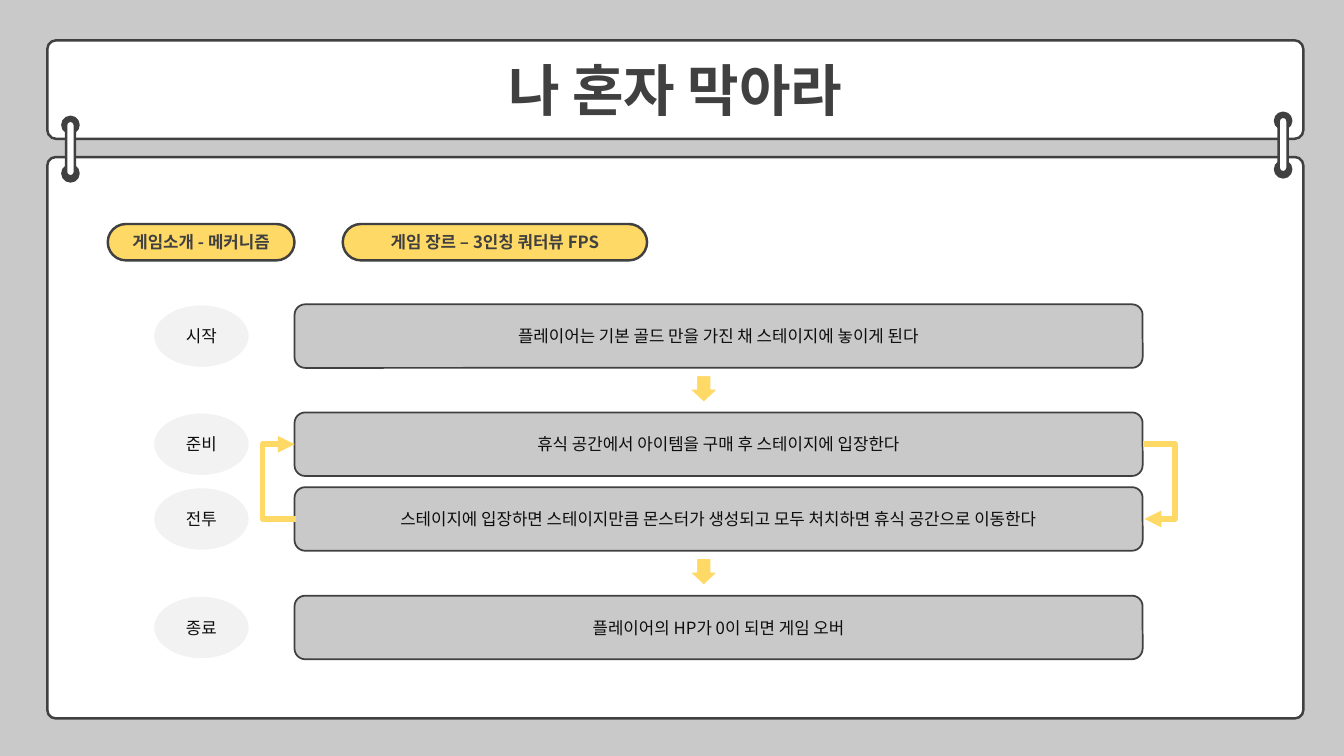
from dataclasses import dataclass

from lxml.etree import SubElement
from pptx import Presentation
from pptx.dml.color import RGBColor
from pptx.enum.shapes import MSO_CONNECTOR, MSO_SHAPE
from pptx.enum.text import MSO_ANCHOR, MSO_AUTO_SIZE, PP_ALIGN
from pptx.oxml.ns import qn
from pptx.shapes.autoshape import Shape
from pptx.slide import Slide
from pptx.util import Pt


@dataclass(frozen=True)
class Theme:
    """Colours, font and type sizes of the slide."""
    back: str = "C9C9C9"
    paper: str = "FFFFFF"
    dark: str = "404040"
    ink: str = "0D0D0D"
    gold: str = "FFD966"
    pale: str = "F2F2F2"
    font: str = "Noto Sans CJK KR"
    head: float = 40
    body: float = 12


@dataclass(frozen=True)
class Box:
    """Place and size in points."""
    left: float
    top: float
    width: float
    height: float


@dataclass(frozen=True)
class Look:
    """Form, fill and outline of a shape."""
    form: MSO_SHAPE
    fill: str
    line: str
    weight: float
    bend: float | None = None


@dataclass(frozen=True)
class Step:
    """One stage of the game loop."""
    name: str
    text: str
    top: float


THEME = Theme()
ROUND = MSO_SHAPE.ROUNDED_RECTANGLE
HEAD = Look(ROUND, THEME.paper, THEME.dark, 1.75, 0.089)
PAGE = Look(ROUND, THEME.paper, THEME.dark, 1.75, 0.015)
PEG = Look(ROUND, THEME.dark, THEME.dark, 1.75, 0.5)
ROD = Look(ROUND, THEME.paper, THEME.dark, 1.75, 0.5)
PILL = Look(ROUND, THEME.gold, THEME.dark, 1.75, 0.5)
BAR = Look(ROUND, THEME.back, THEME.dark, 1.25)
OVAL = Look(MSO_SHAPE.OVAL, THEME.pale, THEME.paper, 1.5)
ARROW = Look(MSO_SHAPE.DOWN_ARROW, THEME.gold, THEME.paper, 1)

BAR_LEFT, BAR_WIDTH, ROW = 210.4, 605.8, 45.4
STEPS = (
    Step("시작", "플레이어는 기본 골드 만을 가진 채 스테이지에 놓이게 된다", 217.4),
    Step("준비", "휴식 공간에서 아이템을 구매 후 스테이지에 입장한다", 294.6),
    Step("전투", "스테이지에 입장하면 스테이지만큼 몬스터가 생성되고 "
         "모두 처치하면 휴식 공간으로 이동한다", 348),
    Step("종료", "플레이어의 HP가 0이 되면 게임 오버", 425.5),
)


def place(shape: Shape, box: Box) -> None:
    """Move and size a shape."""
    shape.left, shape.top = Pt(box.left), Pt(box.top)
    shape.width, shape.height = Pt(box.width), Pt(box.height)


def draw(slide: Slide, look: Look, box: Box) -> Shape:
    """Add a preset shape with the given look."""
    shape = slide.shapes.add_shape(look.form, 0, 0, 0, 0)
    place(shape, box)
    shape.shadow.inherit = False
    shape.fill.solid()
    shape.fill.fore_color.rgb = RGBColor.from_string(look.fill)
    shape.line.color.rgb = RGBColor.from_string(look.line)
    shape.line.width = Pt(look.weight)
    if look.bend is not None:
        shape.adjustments[0] = look.bend
    return shape


def write(shape: Shape, text: str, size: float, tint: str, bold: bool = False) -> None:
    """Set centred text in the theme font."""
    frame = shape.text_frame
    frame.text = text
    frame.word_wrap = True
    frame.auto_size = MSO_AUTO_SIZE.NONE
    frame.vertical_anchor = MSO_ANCHOR.MIDDLE
    frame.margin_left = frame.margin_right = 0
    frame.margin_top = frame.margin_bottom = 0
    para = frame.paragraphs[0]
    para.alignment = PP_ALIGN.CENTER
    para.font.size, para.font.bold = Pt(size), bold
    para.font.color.rgb = RGBColor.from_string(tint)
    para.font.name = THEME.font
    for props in shape.element.iter(qn("a:defRPr")):
        SubElement(props, qn("a:ea"), typeface=THEME.font)


def ring(slide: Slide, left: float, top: float) -> None:
    """Draw a binder ring: two pegs and a rod."""
    for drop in (0, 34.6):
        draw(slide, PEG, Box(left, top + drop, 11.5, 11.5))
    draw(slide, ROD, Box(left + 2.6, top + 2.8, 6.3, 39.6))


def loop(slide: Slide, left: float, top: float, drop: float, reach: int,
         turn: bool = False) -> None:
    """Draw a bent arrow that reaches out sideways, turned half round if asked."""
    link = slide.shapes.add_connector(
        MSO_CONNECTOR.ELBOW, Pt(left), Pt(top), Pt(left + 1), Pt(top + drop))
    link.line.color.rgb = RGBColor.from_string(THEME.gold)
    link.line.width = Pt(4)
    props = link.element.spPr
    if turn:
        props.find(qn("a:xfrm")).set("rot", "10800000")
    guides = props.find(qn("a:prstGeom")).find(qn("a:avLst"))
    SubElement(guides, qn("a:gd"), name="adj1", fmla=f"val {reach * 100000}")
    SubElement(props.find(qn("a:ln")), qn("a:tailEnd"), type="triangle")
    SubElement(props, qn("a:effectLst"))


def build() -> None:
    """Build and save the slide."""
    deck = Presentation()
    deck.slide_width, deck.slide_height = Pt(960), Pt(540)
    slide = deck.slides.add_slide(deck.slide_layouts[5])
    slide.background.fill.solid()
    slide.background.fill.fore_color.rgb = RGBColor.from_string(THEME.back)

    banner = Box(33.8, 28.8, 897.2, 70.4)
    panel = draw(slide, HEAD, banner)
    title = slide.shapes.title
    place(title, banner)
    write(title, "나 혼자 막아라", THEME.head, THEME.dark, True)
    panel.element.addnext(title.element)
    draw(slide, PAGE, Box(33.8, 112.2, 897.2, 401))
    ring(slide, 44.6, 83.5)
    ring(slide, 910.8, 80.6)

    for text, left, width in (("게임소개 - 메커니즘", 77, 133.4),
                              ("게임 장르 – 3인칭 쿼터뷰 FPS", 244.8, 217.4)):
        pill = draw(slide, PILL, Box(left, 160, width, 26))
        write(pill, text, THEME.body, THEME.dark, True)

    for step in STEPS:
        bar = draw(slide, BAR, Box(BAR_LEFT, step.top, BAR_WIDTH, ROW))
        oval = draw(slide, OVAL, Box(109.4, step.top, 69, ROW))
        write(bar, step.text, THEME.body, THEME.ink)
        write(oval, step.name, THEME.body, THEME.ink)

    start, ready, fight, _ = STEPS
    for step in (start, fight):
        draw(slide, ARROW, Box(492.4, step.top + ROW + 5.4, 20.6, 19.4))

    mid, drop = ready.top + ROW / 2, fight.top - ready.top
    loop(slide, BAR_LEFT + BAR_WIDTH + 0.3, mid, drop, 23)
    loop(slide, BAR_LEFT, mid, drop, 24, turn=True)
    deck.save("out.pptx")


build()
